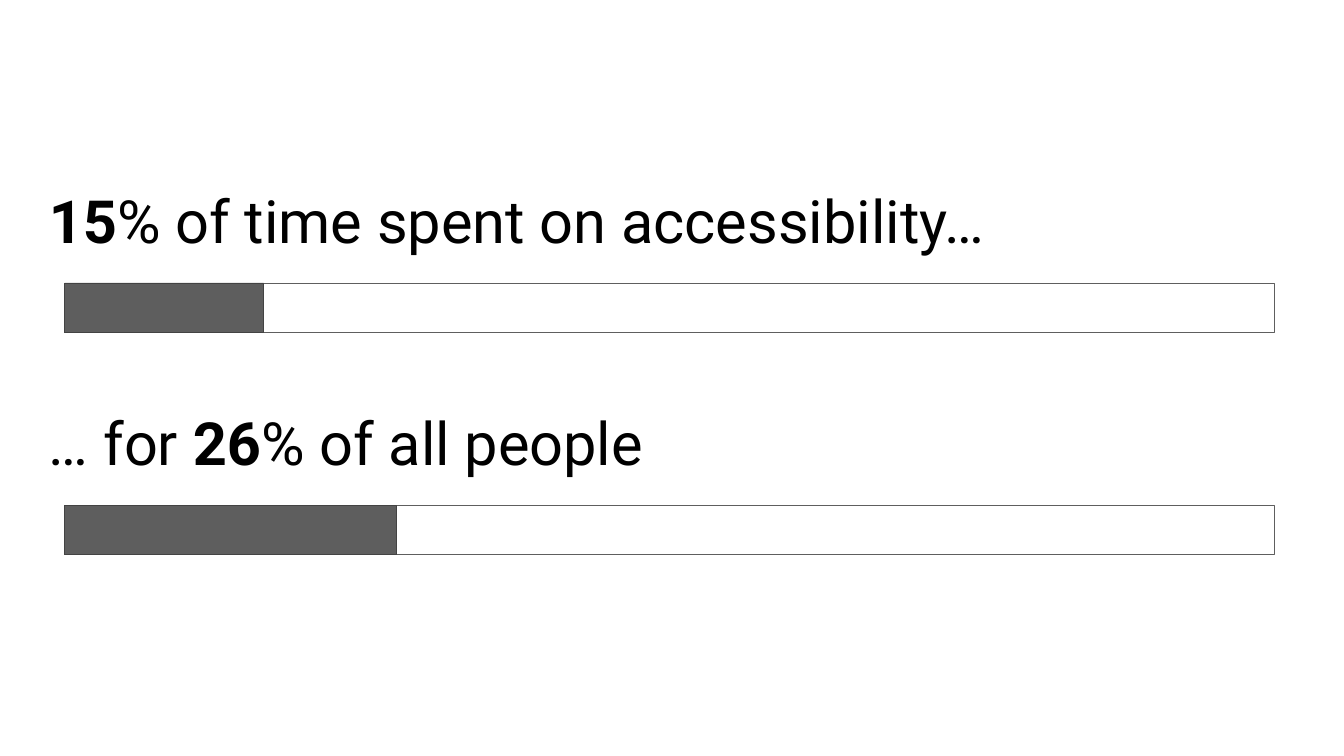
from pptx import Presentation
from pptx.dml.color import RGBColor
from pptx.enum import shapes, text
from pptx.util import Pt

COLORS = {
    "page": "FFFFFF",
    "text": "000000",
    "bar": "5E5E5E",
    "bar_edge": "434343",
}
FONT = "Roboto"

# Layout in points
PAGE_WIDTH, PAGE_HEIGHT = 1920, 1080
HEADING_LEFT, HEADING_WIDTH, HEADING_HEIGHT = 65.5, 1789, 120
BAR_LEFT, BAR_WIDTH, BAR_HEIGHT = 92.2, 1728, 70.6
FIRST_TOP, ROW_PITCH, BAR_OFFSET = 278, 317.5, 126

# Each row: heading spans as (text, bold), and length of the filled part
ROWS = [
    ([("15", True), ("% of time spent on accessibility…", False)], 284.4),
    ([("… for ", False), ("26", True), ("% of all people", False)], 474.5),
]


def color(name):
    return RGBColor.from_string(COLORS[name])


def add_span(para, words, size=85, bold=False, fill="text"):
    span = para.add_run()
    span.text = words
    span.font.name = FONT
    span.font.size = Pt(size)
    span.font.bold = bold
    span.font.color.rgb = color(fill)


def add_heading(page, top, spans):
    box = page.shapes.add_textbox(
        Pt(HEADING_LEFT), Pt(top), Pt(HEADING_WIDTH), Pt(HEADING_HEIGHT))
    frame = box.text_frame
    frame.word_wrap = True
    frame.vertical_anchor = text.MSO_ANCHOR.TOP
    frame.margin_left = frame.margin_right = Pt(4.3)
    frame.margin_top = frame.margin_bottom = Pt(4.3)
    para = frame.paragraphs[0]
    para.line_spacing = 0.8
    for words, bold in spans:
        add_span(para, words, bold=bold)


def add_bar(group, top, width, fill, edge):
    bar = group.shapes.add_shape(
        shapes.MSO_SHAPE.RECTANGLE,
        Pt(BAR_LEFT), Pt(top), Pt(width), Pt(BAR_HEIGHT))
    bar.shadow.inherit = False
    bar.fill.solid()
    bar.fill.fore_color.rgb = color(fill)
    bar.line.color.rgb = color(edge)
    bar.line.width = Pt(0.75)


def add_progress(page, top, filled):
    group = page.shapes.add_group_shape()
    add_bar(group, top, BAR_WIDTH, "page", "bar")
    add_bar(group, top, filled, "bar", "bar_edge")


def main():
    deck = Presentation()
    deck.slide_width, deck.slide_height = Pt(PAGE_WIDTH), Pt(PAGE_HEIGHT)
    page = deck.slides.add_slide(deck.slide_layouts[6])
    page.background.fill.solid()
    page.background.fill.fore_color.rgb = color("page")

    # Heading with its progress bar, one row after the other
    for index, (spans, filled) in enumerate(ROWS):
        top = FIRST_TOP + index * ROW_PITCH
        add_heading(page, top, spans)
        add_progress(page, top + BAR_OFFSET, filled)

    deck.save("out.pptx")


if __name__ == "__main__":
    main()
